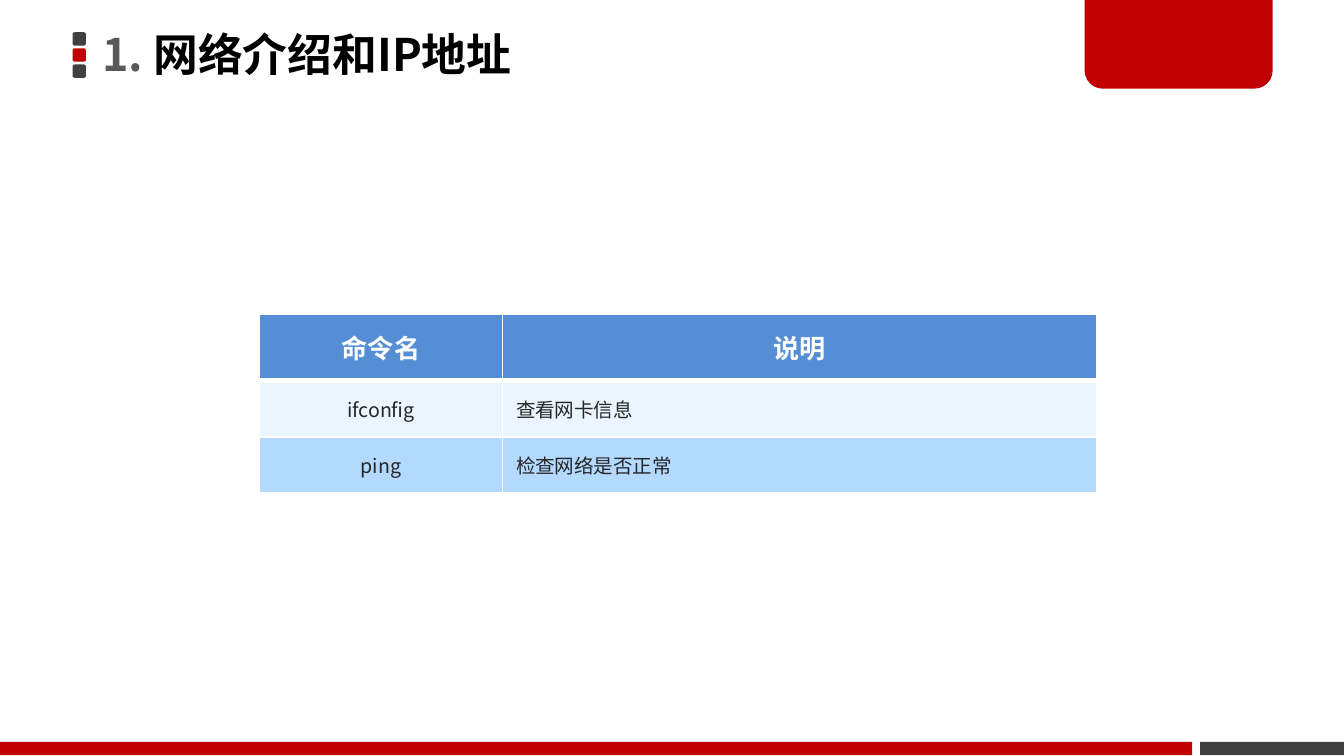
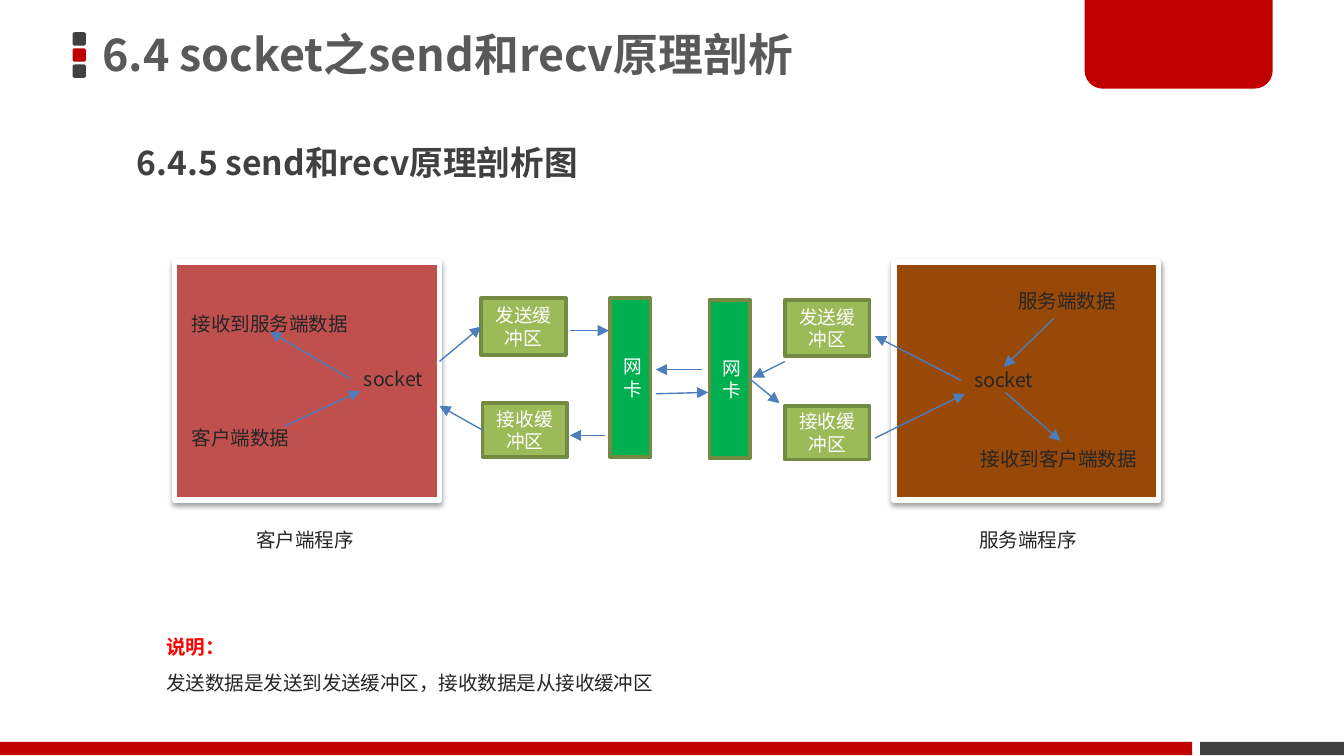
from lxml import etree
from pptx import Presentation
from pptx.dml.color import RGBColor
from pptx.enum.shapes import MSO_CONNECTOR, MSO_SHAPE
from pptx.enum.text import MSO_ANCHOR, MSO_AUTO_SIZE, PP_ALIGN
from pptx.oxml.ns import qn
from pptx.util import Inches, Pt

RECT = MSO_SHAPE.RECTANGLE
ROUND = MSO_SHAPE.ROUNDED_RECTANGLE
TAB = MSO_SHAPE.ROUND_2_SAME_RECTANGLE
STRAIGHT = MSO_CONNECTOR.STRAIGHT
MIDDLE = MSO_ANCHOR.MIDDLE
TOP = MSO_ANCHOR.TOP
LEFT = PP_ALIGN.LEFT
CENTER = PP_ALIGN.CENTER
GROW = MSO_AUTO_SIZE.SHAPE_TO_FIT_TEXT
TOP_SIDE, LEFT_SIDE, RIGHT_SIDE = 0, 1, 3

SANS = "Noto Sans CJK SC"
BOX_FONT = "Calibri"
RED, DARK, GREY, INK = "C00000", "404040", "595959", "262626"
WHITE, BLACK, NOTE_RED = "FFFFFF", "000000", "FF0000"
CLIENT, SERVER = "C0504D", "984807"
BUFFER, CARD, OUTLINE, ARROW = "9BBB59", "00B050", "738A42", "4B7EBC"
HEADER, BODY_ROWS = "558ED5", ["EBF5FF", "B3D9FF"]


def rgb(value):
    return RGBColor.from_string(value)


def child(parent, tag, **attrs):
    return etree.SubElement(parent, qn(tag), {k: str(v) for k, v in attrs.items()})


class Deck:
    """Holds the shared style and the current slide."""

    def __init__(self):
        self.prs = Presentation()
        self.prs.slide_width = Inches(10)
        self.prs.slide_height = Inches(10 * 9 / 16)
        self.s = None

    def new_slide(self, *title):
        self.s = self.prs.slides.add_slide(self.prs.slide_layouts[6])
        # Title marker
        marker = self.s.shapes.add_group_shape()
        for i, color in enumerate([DARK, RED, DARK]):
            self.shape(0.54, 0.24 + 0.12 * i, 0.1, 0.1, color, kind=ROUND,
                       shapes=marker.shapes)
        # Corner tab and footer band
        self.shape(8.93, 5.52, 1.07, 0.1, DARK)
        tab = self.shape(8.07, -0.02, 1.4, 0.68, RED, kind=TAB)
        tab.adjustments[0] = 0
        tab.adjustments[1] = 0.2
        self.shape(0, 5.52, 8.87, 0.1, RED)
        # Title
        sp = self.text(0.69, -0.02, 5.89, 0.89, [title], size=24, bold=True,
                       spacing=0.9, grow=False)
        tf = sp.text_frame
        tf.vertical_anchor = MIDDLE
        tf.margin_left = tf.margin_right = Inches(0.07)
        tf.margin_top = tf.margin_bottom = Inches(0.04)

    def style(self, r, size, color, bold=False, font=SANS):
        r.font.size = Pt(size)
        r.font.bold = bold
        r.font.color.rgb = rgb(color)
        r.font.name = font
        child(r.font._element, "a:ea", typeface=SANS)

    def shape(self, x, y, w, h, fill, kind=RECT, line=None, width=2,
              text=None, shapes=None):
        sp = (shapes or self.s.shapes).add_shape(
            kind, Inches(x), Inches(y), Inches(w), Inches(h))
        sp.shadow.inherit = False
        sp.fill.solid()
        sp.fill.fore_color.rgb = rgb(fill)
        if line:
            sp.line.color.rgb = rgb(line)
            sp.line.width = Pt(width)
        else:
            sp.line.fill.background()
        if text:
            tf = sp.text_frame
            tf.text = text
            tf.word_wrap = True
            tf.vertical_anchor = MIDDLE
            p = tf.paragraphs[0]
            p.alignment = CENTER
            self.style(p.runs[0], 10, WHITE, font=BOX_FONT)
        return sp

    def panel(self, x, y, w, h, fill):
        sp = self.shape(x, y, w, h, fill, line=WHITE, width=3)
        effects = sp._element.spPr.find(qn("a:effectLst"))
        shadow = child(effects, "a:outerShdw", blurRad=Pt(3.1), dist=Pt(1.6),
                       dir=90 * 60000, rotWithShape=0)
        color = child(shadow, "a:srgbClr", val=BLACK)
        child(color, "a:alpha", val=38000)
        return sp

    def text(self, x, y, w, h, lines, size=10.5, bold=False, spacing=None,
             wrap=True, grow=True):
        """Each line is a sequence of (text, color) or (text, color, bold)."""
        sp = self.s.shapes.add_textbox(Inches(x), Inches(y), Inches(w), Inches(h))
        tf = sp.text_frame
        tf.word_wrap = wrap
        if grow:
            tf.auto_size = GROW
        for i, line in enumerate(lines):
            p = tf.add_paragraph() if i else tf.paragraphs[0]
            if spacing:
                p.line_spacing = spacing
            for text, color, *weight in line:
                r = p.add_run()
                r.text = text
                self.style(r, size, color, weight[0] if weight else bold)
        return sp

    def label(self, x, y, w, text, wrap=True):
        return self.text(x, y, w, 0.28, [[(text, INK)]], wrap=wrap)

    def arrow(self, x1, y1, x2, y2, begin=None, end=None):
        c = self.s.shapes.add_connector(
            STRAIGHT, Inches(x1), Inches(y1), Inches(x2), Inches(y2))
        if begin:
            c.begin_connect(*begin)
        if end:
            c.end_connect(*end)
        c.line.color.rgb = rgb(ARROW)
        c.line.width = Pt(0.75)
        spPr = c._element.spPr
        child(spPr.find(qn("a:ln")), "a:tailEnd", type="triangle")
        child(spPr, "a:effectLst")

    def cell(self, cell, text, size, color, fill, align, anchor, top, bottom,
             bold=False, spacing=None):
        cell.text = text
        cell.vertical_anchor = anchor
        p = cell.text_frame.paragraphs[0]
        p.alignment = align
        if spacing:
            p.line_spacing = spacing
        self.style(p.runs[0], size, color, bold)
        cell.fill.solid()
        cell.fill.fore_color.rgb = rgb(fill)
        # Borders come before the fill
        tcPr = cell._tc.get_or_add_tcPr()
        sides = {"a:lnL": 1, "a:lnR": 1, "a:lnT": top, "a:lnB": bottom}
        for i, (tag, width) in enumerate(sides.items()):
            ln = child(tcPr, tag, w=Pt(width))
            child(child(ln, "a:solidFill"), "a:srgbClr", val=WHITE)
            tcPr.insert(i, ln)

    def table(self, x, y, cols, rows, data):
        frame = self.s.shapes.add_table(
            len(rows), len(cols), Inches(x), Inches(y),
            Inches(sum(cols)), Inches(sum(rows)))
        table = frame.table
        for column, width in zip(table.columns, cols):
            column.width = Inches(width)
        for row, height in zip(table.rows, rows):
            row.height = Inches(height)
        for i, values in enumerate(data):
            for j, text in enumerate(values):
                cell = table.cell(i, j)
                if i == 0:
                    self.cell(cell, text, 14, WHITE, HEADER, CENTER, TOP, 1, 3,
                              bold=True, spacing=Pt(24))
                else:
                    self.cell(cell, text, 10.5, INK, BODY_ROWS[(i - 1) % 2],
                              LEFT if j else CENTER, MIDDLE,
                              3 if i == 1 else 1, 1)


def commands_slide(d):
    d.new_slide(("1. ", GREY), ("网络介绍和IP地址", BLACK))
    d.table(1.93, 2.34, [1.81, 4.42], [0.49, 0.42, 0.42], [
        ["命令名", "说明"],
        ["ifconfig", "查看网卡信息"],
        ["ping", "检查网络是否正常"],
    ])


def socket_slide(d):
    d.new_slide(("6.4 socket之send和recv原理剖析", GREY))
    d.text(0.92, 0.86, 5.65, 0.5, [[("6.4.5 send和recv原理剖析图", DARK)]],
           size=18, bold=True, spacing=1.5)

    # Programs
    for x, fill, label_x, name in [(1.3, CLIENT, 1.81, "客户端程序"),
                                   (6.65, SERVER, 7.19, "服务端程序")]:
        d.panel(x, 1.95, 1.97, 1.77, fill)
        d.label(label_x, 3.88, 0.94, name, wrap=False)

    # Buffers and network cards
    def buffer(x, y, h, text):
        return d.shape(x, y, 0.63, h, BUFFER, line=OUTLINE, text=text)

    def card(x, y):
        return d.shape(x, y, 0.3, 1.18, CARD, line=OUTLINE, text="网卡")

    client_send = buffer(3.58, 2.22, 0.42, "发送缓冲区")
    client_recv = buffer(3.59, 3, 0.4, "接收缓冲区")
    buffer(5.84, 2.23, 0.42, "发送缓冲区")
    buffer(5.84, 3.02, 0.4, "接收缓冲区")
    card(4.54, 2.22)
    server_card = card(5.28, 2.23)

    # Labels inside the programs
    d.label(1.33, 2.27, 1.42, "接收到服务端数据")
    d.label(1.33, 3.12, 0.94, "客户端数据")
    client_socket = d.label(2.61, 2.68, 0.67, "socket")
    d.label(7.48, 2.1, 1.01, "服务端数据")
    server_socket = d.label(7.15, 2.69, 0.67, "socket")
    server_received = d.label(7.2, 3.28, 1.38, "接收到客户端数据")

    # Joined arrows
    d.arrow(3.27, 2.69, 3.58, 2.43, end=(client_send, LEFT_SIDE))
    d.arrow(3.59, 3.2, 3.27, 3.02, begin=(client_recv, LEFT_SIDE))
    d.arrow(5.58, 2.82, 5.8, 3, begin=(server_card, RIGHT_SIDE))
    d.arrow(2.61, 2.82, 2.01, 2.47, begin=(client_socket, LEFT_SIDE))
    d.arrow(7.15, 2.83, 6.51, 2.5, begin=(server_socket, LEFT_SIDE))
    d.arrow(7.48, 2.92, 7.89, 3.28, end=(server_received, TOP_SIDE))

    # Free arrows
    for ends in [(2.12, 3.17, 2.68, 2.91), (4.24, 2.46, 4.53, 2.46),
                 (4.5, 3.24, 4.24, 3.24), (4.88, 2.93, 5.27, 2.92),
                 (5.22, 2.75, 4.88, 2.75), (5.84, 2.69, 5.6, 2.81),
                 (6.51, 3.26, 7.18, 2.93), (7.84, 2.37, 7.47, 2.73)]:
        d.arrow(*ends)

    # Explanation
    d.text(1.14, 4.59, 8.57, 0.63, [
        [("说明：", NOTE_RED, True)],
        [("发送数据是发送到发送缓冲区，接收数据是从接收缓冲区", INK)],
    ], spacing=1.5)


def main():
    d = Deck()
    commands_slide(d)
    socket_slide(d)
    d.prs.save("out.pptx")


if __name__ == "__main__":
    main()
